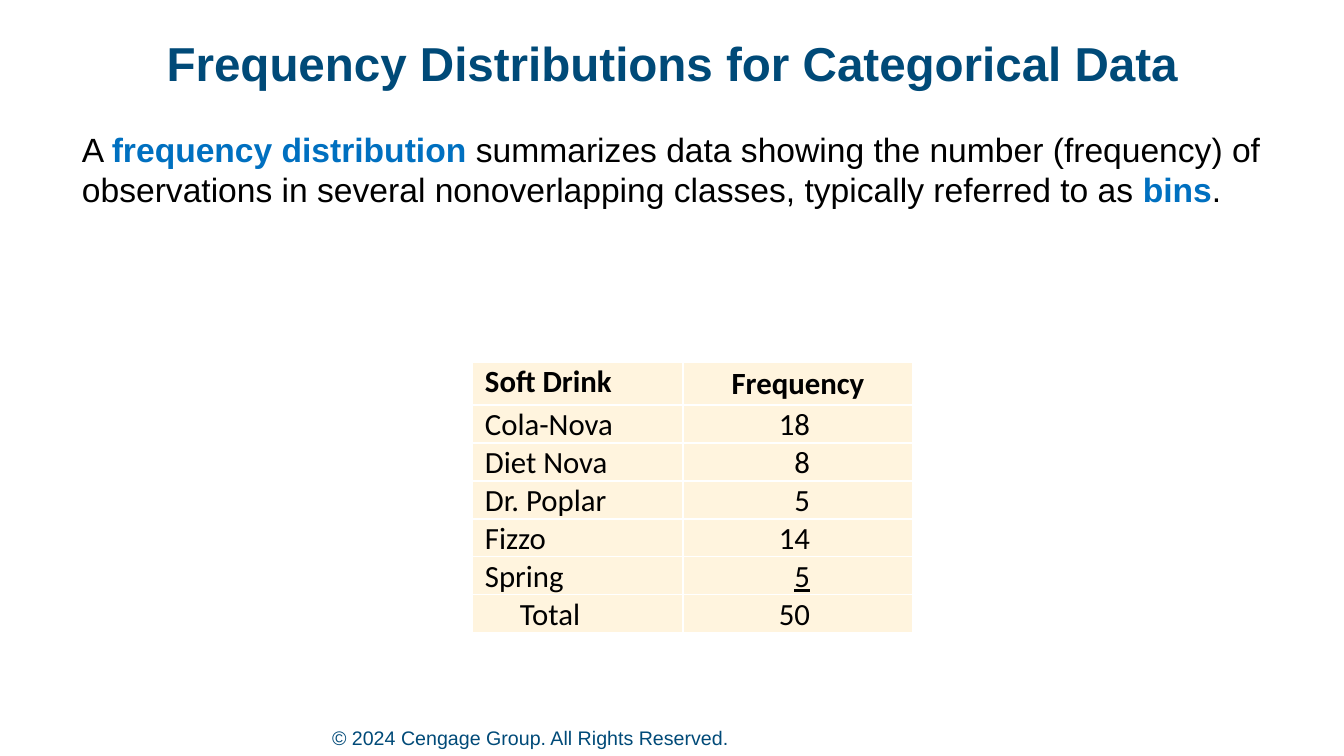
from dataclasses import dataclass

import lxml.etree
import pptx
import pptx.dml.color
import pptx.enum.text
import pptx.oxml.ns
import pptx.util

EMU_PER_PX = 914400 / 100.8
ALIGN = pptx.enum.text.PP_ALIGN
ANCHOR = pptx.enum.text.MSO_ANCHOR

NAVY, BLUE, BLACK, CREAM = "004A78", "0070C0", "000000", "FFF4DE"
LABEL_INDENT, TOTAL_INDENT = 12, 47
NUMBER_TAB, RULE_TAB = 126, 89


@dataclass
class Span:
    text: str
    color: str = BLACK
    bold: bool = False


@dataclass
class TextBlock:
    left: int
    top: int
    width: int
    height: int
    size: int
    spans: list[Span]
    align: ALIGN = ALIGN.LEFT
    anchor: ANCHOR = ANCHOR.TOP
    bottom_inset: int = 0
    line_spacing: float = 1.0


@dataclass
class DrinkRow:
    label: str
    frequency: int
    indent: int = LABEL_INDENT
    underlined: bool = False


BLOCKS = [
    TextBlock(332, 725, 987, 29, 14,
              [Span("© 2024 Cengage Group. All Rights Reserved.", NAVY)],
              anchor=ANCHOR.BOTTOM, bottom_inset=5),
    TextBlock(93, 40, 1159, 75, 34,
              [Span("Frequency Distributions for Categorical Data", NAVY, True)],
              align=ALIGN.CENTER, line_spacing=0.9),
    TextBlock(82, 129, 1218, 187, 24, [
        Span("A "),
        Span("frequency distribution ", BLUE, True),
        Span("summarizes data showing the number (frequency) of observations in "
             "several nonoverlapping classes, typically referred to as "),
        Span("bins", BLUE, True),
        Span("."),
    ]),
]

DRINKS = [
    DrinkRow("Cola-Nova", 18),
    DrinkRow("Diet Nova", 8),
    DrinkRow("Dr. Poplar", 5),
    DrinkRow("Fizzo", 14),
    DrinkRow("Spring", 5, underlined=True),
    DrinkRow("Total", 50, indent=TOTAL_INDENT),
]


def px(value: int) -> int:
    return round(value * EMU_PER_PX)


def rgb(color: str) -> pptx.dml.color.RGBColor:
    return pptx.dml.color.RGBColor.from_string(color)


def set_font(font, name: str, size: int, color: str, bold: bool) -> None:
    font.name = name
    font.size = pptx.util.Pt(size)
    font.color.rgb = rgb(color)
    font.bold = bold


def add_tabs(para, stops: list[tuple[int, str]]) -> None:
    qn = pptx.oxml.ns.qn
    tab_list = lxml.etree.SubElement(para._p.get_or_add_pPr(), qn("a:tabLst"))
    for position, side in stops:
        lxml.etree.SubElement(tab_list, qn("a:tab"), pos=str(px(position)), algn=side)


def add_text_block(page, block: TextBlock) -> None:
    box = page.shapes.add_textbox(
        px(block.left), px(block.top), px(block.width), px(block.height))
    frame = box.text_frame
    frame.word_wrap = True
    frame.vertical_anchor = block.anchor
    frame.margin_left = frame.margin_right = frame.margin_top = 0
    frame.margin_bottom = px(block.bottom_inset)
    para = frame.paragraphs[0]
    para.alignment = block.align
    para.line_spacing = block.line_spacing
    set_font(para.font, "Arial", block.size, BLACK, False)
    for span in block.spans:
        run = para.add_run()
        run.text = span.text
        run.font.color.rgb = rgb(span.color)
        run.font.bold = span.bold


def prepare_cell(cell, header: bool):
    """Style a cell and return its paragraph."""
    cell.fill.solid()
    cell.fill.fore_color.rgb = rgb(CREAM)
    cell.margin_left = cell.margin_right = cell.margin_top = px(1)
    cell.margin_bottom = px(5 if header else 0)
    cell.vertical_anchor = ANCHOR.BOTTOM if header else ANCHOR.MIDDLE
    return cell.text_frame.paragraphs[0]


def write_label(cell, text: str, indent: int, header: bool = False) -> None:
    para = prepare_cell(cell, header)
    para._p.get_or_add_pPr().set("marL", str(px(indent)))
    set_font(para.font, "Calibri", 22, BLACK, header)
    para.add_run().text = text


def write_frequency(cell, row: DrinkRow) -> None:
    para = prepare_cell(cell, False)
    number_stop = (NUMBER_TAB, "r")
    add_tabs(para, [(RULE_TAB, "l"), number_stop] if row.underlined else [number_stop])
    set_font(para.font, "Calibri", 22, BLACK, False)
    if row.underlined:
        para.add_run().text = "\t"
    number = para.add_run()
    number.text = f"\t{row.frequency}"
    number.font.underline = row.underlined


def add_drink_table(page) -> None:
    widths, heights = [211, 230], [43] + [38] * len(DRINKS)
    table = page.shapes.add_table(
        len(heights), len(widths), px(472), px(362),
        px(sum(widths)), px(sum(heights))).table
    for column, width in zip(table.columns, widths):
        column.width = px(width)
    for row, height in zip(table.rows, heights):
        row.height = px(height)

    # Header row
    write_label(table.cell(0, 0), "Soft Drink", LABEL_INDENT, header=True)
    para = prepare_cell(table.cell(0, 1), True)
    para.alignment = ALIGN.CENTER
    para.line_spacing = 0.8
    set_font(para.font, "Calibri", 22, BLACK, True)
    para.add_run().text = "Frequency"

    # Drinks and total
    for index, drink in enumerate(DRINKS, start=1):
        write_label(table.cell(index, 0), drink.label, drink.indent)
        write_frequency(table.cell(index, 1), drink)


def main() -> None:
    deck = pptx.Presentation()
    deck.slide_width, deck.slide_height = px(1344), px(756)
    page = deck.slides.add_slide(deck.slide_layouts[6])
    for block in BLOCKS:
        add_text_block(page, block)
    add_drink_table(page)
    deck.save("out.pptx")


if __name__ == "__main__":
    main()
